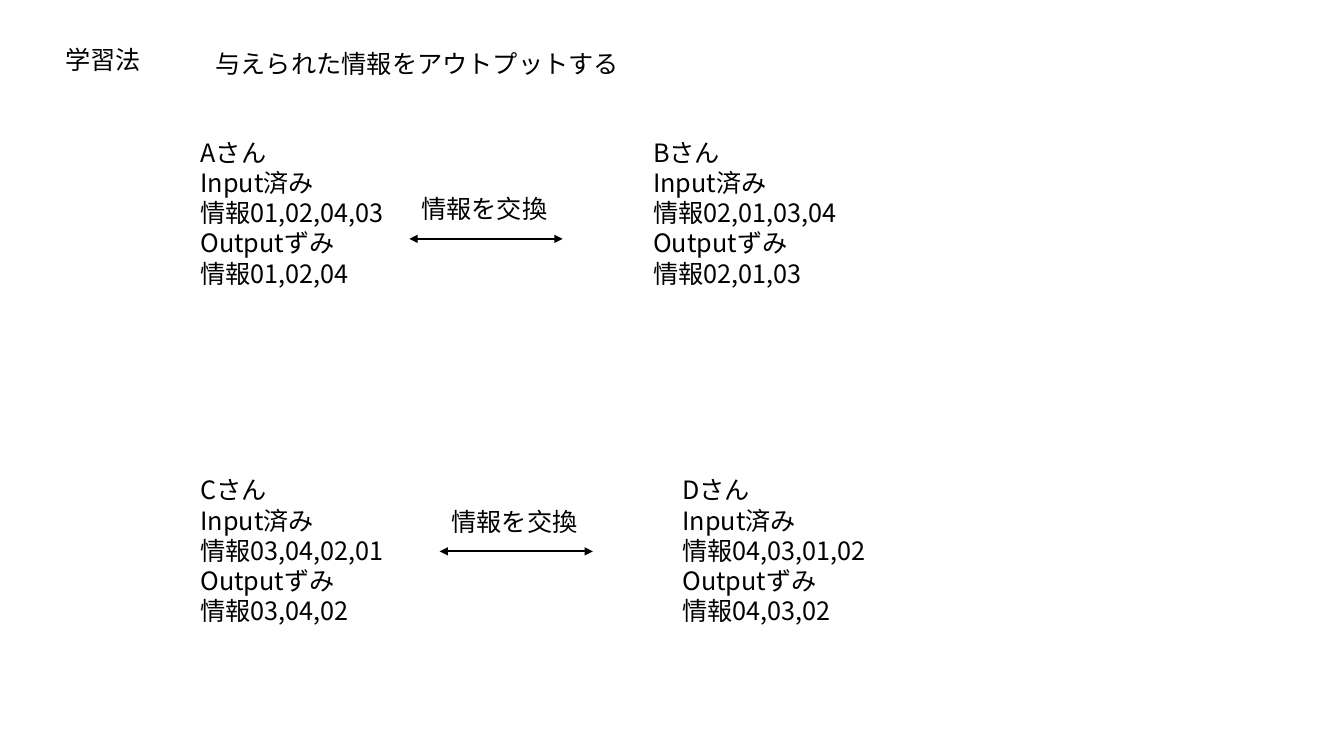
from lxml import etree
from pptx import Presentation
from pptx.dml.color import RGBColor
from pptx.enum.shapes import MSO_CONNECTOR
from pptx.enum.text import MSO_AUTO_SIZE
from pptx.oxml.ns import qn
from pptx.util import Inches, Pt

STRAIGHT = MSO_CONNECTOR.STRAIGHT
GROW = MSO_AUTO_SIZE.SHAPE_TO_FIT_TEXT
FONT = "Noto Sans CJK JP"
BLACK = "000000"

# text, left, top, width
HEADINGS = [
    ("学習法", 0.55, 0.39, 0.96),
    ("与えられた情報をアウトプットする", 2.04, 0.43, 4.24),
]
# name, input order, output order, left, top
PEOPLE = [
    ("A", "01,02,04,03", "01,02,04", 1.89, 1.31),
    ("B", "02,01,03,04", "02,01,03", 6.38, 1.31),
    ("C", "03,04,02,01", "03,04,02", 1.89, 4.66),
    ("D", "04,03,01,02", "04,03,02", 6.67, 4.66),
]
EXCHANGE_LABEL = "情報を交換"
EXCHANGES = [(4.06, 1.87), (4.36, 4.97)]  # left, top
ARROW_LENGTH = 1.52
ARROW_DROP = 0.5
LINE_HEIGHT = 0.4


def color(hex_string):
    return RGBColor.from_string(hex_string)


def add_text(shapes, lines, left, top, width, height=LINE_HEIGHT, wrap=False):
    box = shapes.add_textbox(Inches(left), Inches(top), Inches(width), Inches(height))
    text_frame = box.text_frame
    text_frame.word_wrap = wrap
    text_frame.auto_size = GROW
    text_frame.text = "\n".join(lines)
    for paragraph in text_frame.paragraphs:
        for run in paragraph.runs:
            run.font.size = Pt(18)
            run.font.name = FONT
            run.font.color.rgb = color(BLACK)
            east_asian = etree.SubElement(run.font._element, qn("a:ea"))
            east_asian.set("typeface", FONT)


def add_double_arrow(shapes, left, top, length):
    arrow = shapes.add_connector(
        STRAIGHT, Inches(left), Inches(top), Inches(left + length), Inches(top))
    arrow.line.color.rgb = color(BLACK)
    arrow.line.width = Pt(1.5)
    line = arrow.line._get_or_add_ln()
    for end in ("a:headEnd", "a:tailEnd"):
        etree.SubElement(line, qn(end)).set("type", "triangle")
    etree.SubElement(arrow._element.spPr, qn("a:effectLst"))


presentation = Presentation()
presentation.slide_width = Inches(13.33)
presentation.slide_height = Inches(7.5)
slide = presentation.slides.add_slide(presentation.slide_layouts[6])

for text, left, top, width in HEADINGS:
    add_text(slide.shapes, [text], left, top, width)

for name, inputs, outputs, left, top in PEOPLE:
    lines = [f"{name}さん", "Input済み", f"情報{inputs}", "Outputずみ", f"情報{outputs}"]
    add_text(slide.shapes, lines, left, top, 2.02, 1.62, wrap=True)

for left, top in EXCHANGES:
    exchange = slide.shapes.add_group_shape()
    add_double_arrow(exchange.shapes, left, top + ARROW_DROP, ARROW_LENGTH)
    add_text(exchange.shapes, [EXCHANGE_LABEL], left + 0.02, top, 1.46)

presentation.save("out.pptx")
